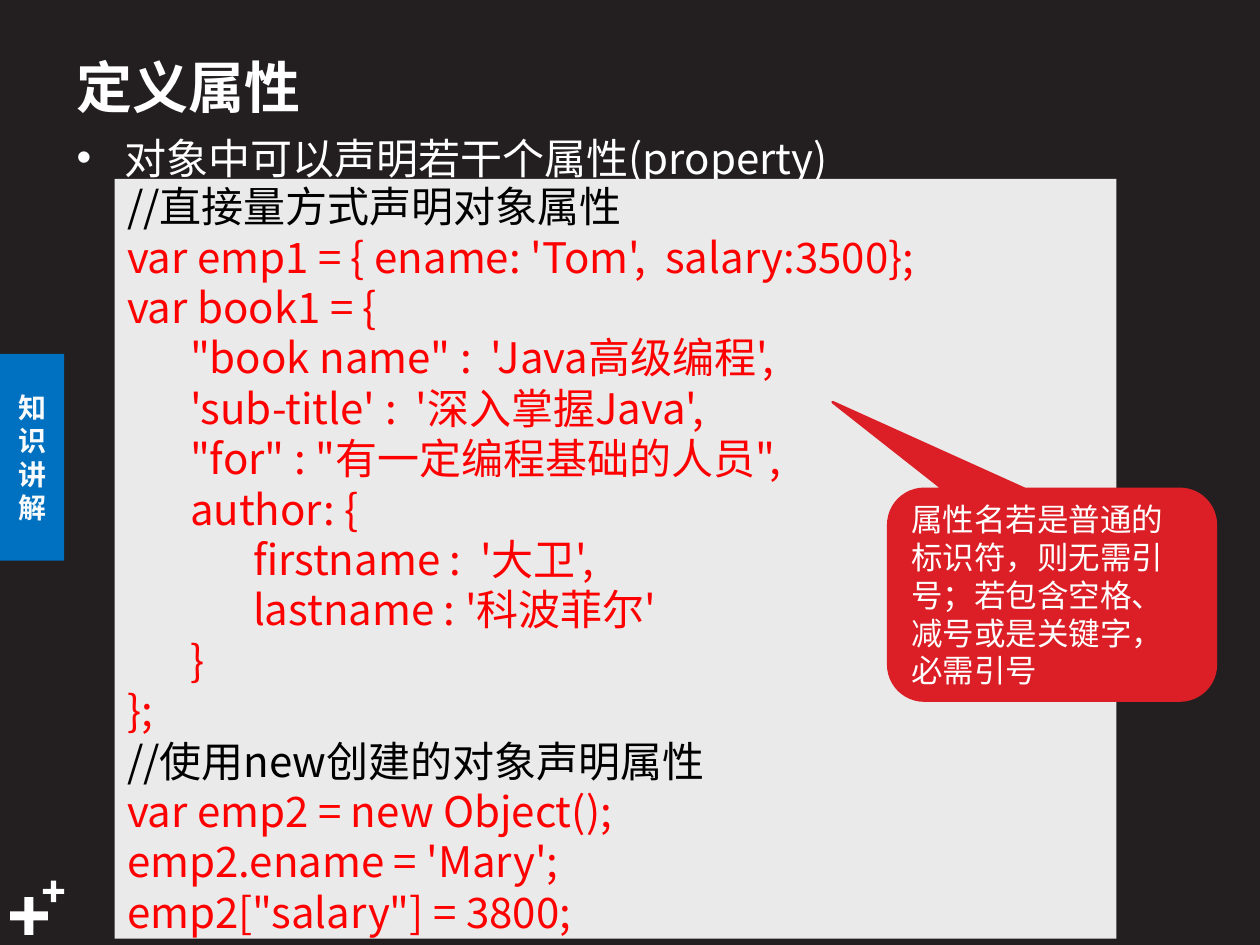
from dataclasses import dataclass

from lxml import etree
from pptx import Presentation, util as u
from pptx.dml.color import RGBColor
from pptx.enum import shapes, text
from pptx.oxml.ns import qn


@dataclass(frozen=True)
class Theme:
    font: str = "Noto Sans CJK SC"
    background: str = "231F20"
    white: str = "FFFFFF"
    tab_blue: str = "0070C0"
    tab_text: str = "F9FAFB"
    panel: str = "EAEAEA"
    comment: str = "000000"
    code: str = "FF0000"
    callout: str = "DC1F26"
    title_size: int = 32
    body_size: int = 24
    note_size: int = 18
    tab_size: int = 16
    leading: float = 1.2


COLUMNS, ROWS = 100, 75

CODE = """\
//直接量方式声明对象属性
var emp1 = { ename: 'Tom',  salary:3500};
var book1 = {
\t"book name" :  'Java高级编程',
\t'sub-title' :  '深入掌握Java',
\t"for" : "有一定编程基础的人员",
\tauthor: {
\t\tfirstname :  '大卫',
\t\tlastname : '科波菲尔'
\t}
};
//使用new创建的对象声明属性
var emp2 = new Object();
emp2.ename = 'Mary';
emp2["salary"] = 3800;"""


class Deck:
    def __init__(self, theme):
        self.theme = theme
        self.prs = Presentation()
        self.prs.slide_width, self.prs.slide_height = u.Inches(10), u.Inches(7.5)
        self.slide = self.prs.slides.add_slide(self.prs.slide_layouts[5])
        fill = self.slide.background.fill
        fill.solid()
        fill.fore_color.rgb = RGBColor.from_string(theme.background)

    def place(self, left, top, width, height):
        """Turn grid columns and rows into slide lengths."""
        column = self.prs.slide_width / COLUMNS
        row = self.prs.slide_height / ROWS
        return [round(n) for n in (left * column, top * row, width * column, height * row)]

    def style(self, paragraph, size, color, bold=False, leading=None):
        paragraph.line_spacing = u.Pt(round(size * (leading or self.theme.leading), 1))
        font = paragraph.font
        font.size, font.bold, font.name = u.Pt(size), bold, self.theme.font
        font.color.rgb = RGBColor.from_string(color)
        defaults = paragraph._p.pPr.find(qn("a:defRPr"))
        etree.SubElement(defaults, qn("a:ea")).set("typeface", self.theme.font)

    def set_text(self, frame, content, size, color, bold=False,
                 align=text.PP_ALIGN.LEFT, anchor=text.MSO_ANCHOR.MIDDLE):
        frame.word_wrap = True
        frame.auto_size = text.MSO_AUTO_SIZE.NONE
        frame.vertical_anchor = anchor
        frame.text = content
        for paragraph in frame.paragraphs:
            paragraph.alignment = align
            self.style(paragraph, size, color, bold)

    def title(self, content, *area):
        heading = self.slide.shapes.title
        heading.left, heading.top, heading.width, heading.height = self.place(*area)
        self.set_text(heading.text_frame, content, self.theme.title_size, self.theme.white, True)

    def bullet(self, content, *area):
        frame = self.slide.shapes.add_textbox(*self.place(*area)).text_frame
        frame.word_wrap = True
        frame.text = content
        paragraph = frame.paragraphs[0]
        properties = paragraph._p.get_or_add_pPr()
        indent = u.Inches(0.38)
        properties.set("marL", str(indent))
        properties.set("indent", str(-indent))
        etree.SubElement(properties, qn("a:buFont")).set("typeface", "Arial")
        etree.SubElement(properties, qn("a:buChar")).set("char", "•")
        self.style(paragraph, self.theme.body_size, self.theme.white,
                   leading=self.theme.leading ** 2)

    def block(self, kind, color, *area, adjust=()):
        """Add a filled shape without outline or shadow."""
        shape = self.slide.shapes.add_shape(kind, *self.place(*area))
        shape.shadow.inherit = False
        shape.fill.solid()
        shape.fill.fore_color.rgb = RGBColor.from_string(color)
        shape.line.fill.background()
        for index, value in enumerate(adjust):
            shape.adjustments[index] = value
        return shape

    def plus(self, left, top, side):
        self.block(shapes.MSO_SHAPE.CROSS, self.theme.white, left, top, side, side,
                   adjust=(0.38,))

    def side_tab(self, content, *area):
        tab = self.block(shapes.MSO_SHAPE.RECTANGLE, self.theme.tab_blue, *area)
        self.set_text(tab.text_frame, content, self.theme.tab_size, self.theme.tab_text, True,
                      text.PP_ALIGN.CENTER)

    def code_panel(self, content, *area):
        panel = self.block(shapes.MSO_SHAPE.RECTANGLE, self.theme.panel, *area)
        self.set_text(panel.text_frame, content, self.theme.body_size, self.theme.code)
        for paragraph in panel.text_frame.paragraphs:
            if paragraph.text.startswith("//"):
                paragraph.font.color.rgb = RGBColor.from_string(self.theme.comment)

    def callout(self, content, *area, adjust):
        note = self.block(shapes.MSO_SHAPE.ROUNDED_RECTANGULAR_CALLOUT, self.theme.callout,
                          *area, adjust=adjust)
        note.line.color.rgb = RGBColor.from_string(self.theme.callout)
        note.line.width = u.Pt(1.5)
        self.set_text(note.text_frame, content, self.theme.note_size, self.theme.white)


def main():
    deck = Deck(Theme())
    deck.plus(0.8, 71.2, 3)
    deck.plus(3.4, 69.9, 1.7)
    deck.side_tab("知识讲解", 0, 28.1, 5.1, 16.4)
    deck.title("定义属性", 5.1, 2.9, 74, 7.8)
    deck.bullet("对象中可以声明若干个属性(property)", 5.1, 9.2, 88.2, 5.4)
    deck.code_panel(CODE, 9.1, 14.2, 79.5, 60.3)
    deck.callout("属性名若是普通的标识符，则无需引号；若包含空格、减号或是关键字，必需引号",
                 70.5, 38.8, 26, 16.8, adjust=(-0.67, -0.91, 0.17))
    deck.prs.save("out.pptx")


if __name__ == "__main__":
    main()
